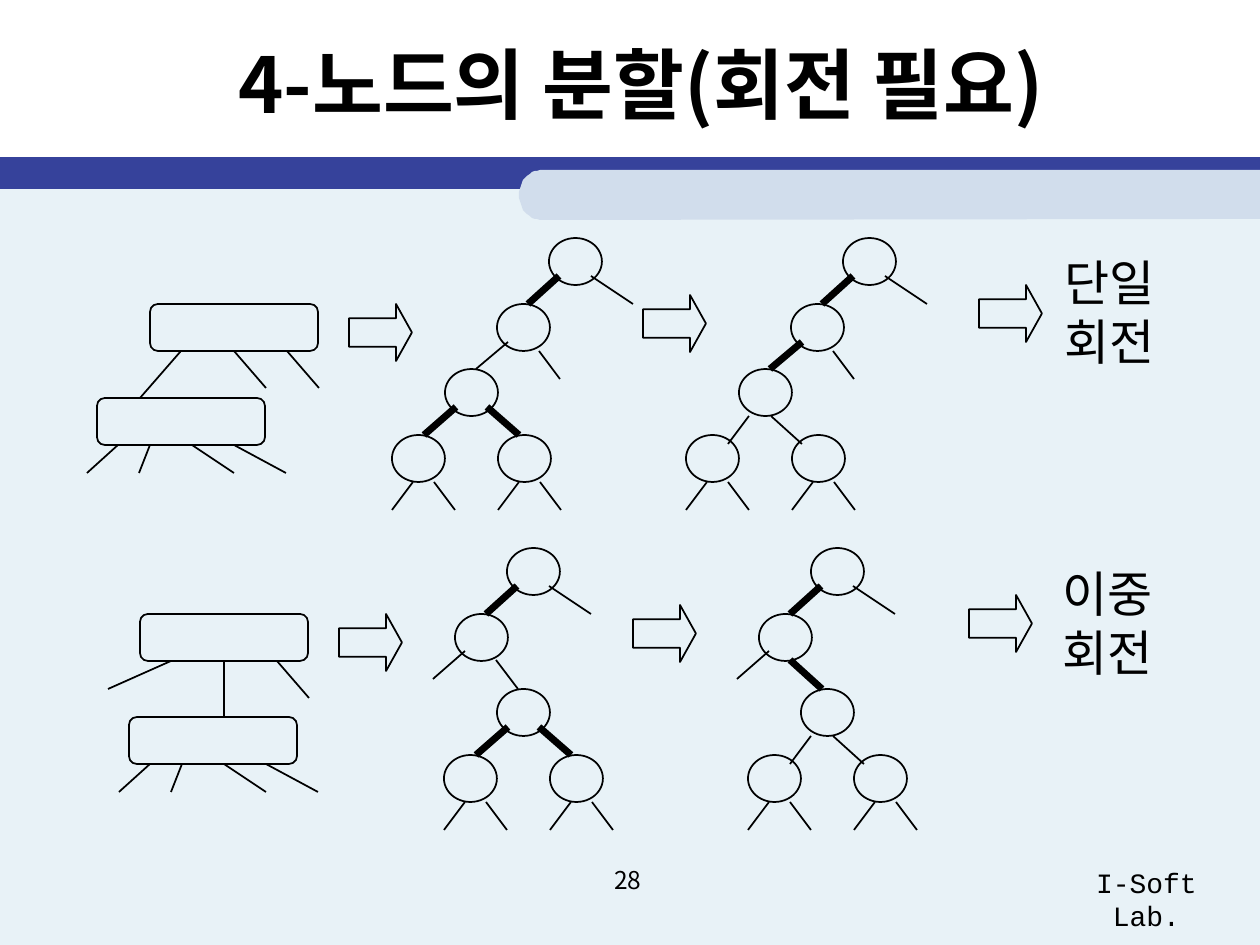
from math import cos, pi, sin

from lxml import etree
from pptx import Presentation
from pptx.dml.color import RGBColor
from pptx.enum.shapes import MSO_CONNECTOR, MSO_SHAPE
from pptx.enum.text import MSO_ANCHOR, PP_ALIGN
from pptx.oxml.ns import qn
from pptx.util import Pt

PX = 914400 / 126
BLACK = RGBColor(0x00, 0x00, 0x00)
PALE = RGBColor(0xE8, 0xF2, 0xF7)
NAVY = RGBColor(0x36, 0x42, 0x9B)
MIST = RGBColor(0xD1, 0xDD, 0xEC)
KOREAN = "Noto Sans CJK KR"
THIN, THICK = 1, 4
BOX_W, BOX_H = 168, 47
NODE_W, NODE_H = 53, 47


def px(*lengths):
    return [round(length * PX) for length in lengths]


def write_text(holder, text, size, font=KOREAN, bold=False, wrap=True,
               anchor=MSO_ANCHOR.TOP):
    frame = holder.text_frame
    frame.text = text
    frame.word_wrap = wrap
    frame.vertical_anchor = anchor
    for paragraph in frame.paragraphs:
        paragraph.alignment = PP_ALIGN.CENTER
        for run in paragraph.runs:
            run.font.size = Pt(size)
            run.font.bold = bold
            run.font.name = font
            run.font.color.rgb = BLACK
            east_asian = etree.SubElement(run.font._element, qn("a:ea"))
            east_asian.set("typeface", KOREAN)


prs = Presentation()
prs.slide_width, prs.slide_height = px(1260, 945)
slide = prs.slides.add_slide(prs.slide_layouts[5])
shapes = slide.shapes

# Title
title = shapes.title
title.left, title.top, title.width, title.height = px(74, 10, 1134, 145)
write_text(title, "4-노드의 분할(회전 필요)", 44, bold=True, anchor=MSO_ANCHOR.MIDDLE)

# Background panel, band and rounded tab
panel = shapes.add_shape(MSO_SHAPE.RECTANGLE, *px(0, 176, 1260, 769))
band = shapes.add_shape(MSO_SHAPE.RECTANGLE, *px(0, 157, 1260, 32))
tab_outline = shapes.build_freeform(1260, 170, scale=PX)
round_end = [(round(540 - 21 * sin(pi * i / 24)), round(195 - 24.5 * cos(pi * i / 24)))
             for i in range(25)]
tab_outline.add_line_segments(round_end + [(1260, 219)], close=True)
tab = tab_outline.convert_to_shape()
for part, color in ((panel, PALE), (band, NAVY), (tab, MIST)):
    part.shadow.inherit = False
    part.fill.solid()
    part.fill.fore_color.rgb = color
    part.line.fill.background()

# Collect outlines (preset, adjustments, x, y, w, h) and links (x1, y1, x2, y2, width)
outlines = []
links = []

# Multi-key nodes: upper box, lower box, and the links below the upper box
LOWER_LINKS = [(21, -10), (53, 42), (95, 137), (137, 189)]
box_pairs = [
    ((150, 304), (97, 398), [(31, -10, 94), (84, 116, 84), (137, 169, 84)]),
    ((140, 614), (129, 717), [(31, -32, 75), (84, 84, 103), (137, 169, 84)]),
]
for upper, lower, upper_links in box_pairs:
    for x, y in (upper, lower):
        outlines.append((MSO_SHAPE.ROUNDED_RECTANGLE, [0.167], x, y, BOX_W, BOX_H))
    lower_links = [(start, end, 75) for start, end in LOWER_LINKS]
    for (x, y), below in ((upper, upper_links), (lower, lower_links)):
        for start, end, drop in below:
            links.append((x + start, y + BOX_H, x + end, y + drop, THIN))

# Block arrows rise slightly from left to right
for x, y in ((349, 304), (339, 614)):
    for dx, dy in ((0, 0), (294, -9), (630, -19)):
        outlines.append((MSO_SHAPE.RIGHT_ARROW, [0.5, 0.279], x + dx, y + dy, 63, 57))

# Binary trees: links are relative to the node they leave
ROOT_LINKS = [(42, 38, 84, 66, THIN), (10, 38, -21, 66, THICK)]
LEAF_LINKS = [(21, 47, 0, 75, THIN), (42, 47, 63, 75, THIN)]
FORK_BEFORE = [(11, 38, -21, 66, THICK), (42, 38, 74, 66, THICK)]
FORK_AFTER = [(10, 47, -11, 75, THIN), (32, 47, 63, 75, THIN)]
LEFT_BRANCH, RIGHT_BRANCH = (-52, 65), (42, 75)
trees = [
    (549, 238, LEFT_BRANCH, [(11, 38, -21, 65, THIN), (42, 47, 63, 75, THIN)], FORK_BEFORE),
    (843, 238, LEFT_BRANCH, [(11, 38, -21, 65, THICK), (42, 47, 63, 75, THIN)], FORK_AFTER),
    (507, 548, RIGHT_BRANCH, [(10, 37, -22, 65, THIN), (41, 46, 63, 75, THIN)], FORK_BEFORE),
    (811, 548, RIGHT_BRANCH, [(10, 37, -22, 65, THIN), (31, 46, 63, 75, THICK)], FORK_AFTER),
]
for root_x, root_y, (branch_x, branch_y), child_links, fork_links in trees:
    child_x, child_y = root_x - 52, root_y + 66
    fork_x, fork_y = child_x + branch_x, child_y + branch_y
    nodes = [
        (root_x, root_y, ROOT_LINKS),
        (child_x, child_y, child_links),
        (fork_x, fork_y, fork_links),
        (fork_x - 53, fork_y + 66, LEAF_LINKS),
        (fork_x + 53, fork_y + 66, LEAF_LINKS),
    ]
    for x, y, node_links in nodes:
        outlines.append((MSO_SHAPE.OVAL, [], x, y, NODE_W, NODE_H))
        for x1, y1, x2, y2, width in node_links:
            links.append((x + x1, y + y1, x + x2, y + y2, width))

for preset, adjustments, *place in outlines:
    outline = shapes.add_shape(preset, *px(*place))
    for i, value in enumerate(adjustments):
        outline.adjustments[i] = value
    outline.shadow.inherit = False
    outline.fill.background()
    outline.line.color.rgb = BLACK
    outline.line.width = Pt(THIN)

for *ends, width in links:
    link = shapes.add_connector(MSO_CONNECTOR.STRAIGHT, *px(*ends))
    link.line.color.rgb = BLACK
    link.line.width = Pt(width)
    etree.SubElement(link._element.spPr, qn("a:effectLst"))

# Rotation labels
for text, x, y in (("단일\n회전", 1052, 246), ("이중\n회전", 1050, 557)):
    label = shapes.add_textbox(*px(x, y, 115, 131))
    write_text(label, text, 28, font="Times New Roman", wrap=False, anchor=MSO_ANCHOR.MIDDLE)

# Footer
page_number = shapes.add_textbox(*px(481, 859, 294, 66))
write_text(page_number, "28", 14)
lab = shapes.add_textbox(*px(1047, 859, 199, 47))
write_text(lab, "I-Soft Lab.", 16, font="Courier New")

prs.save("out.pptx")
